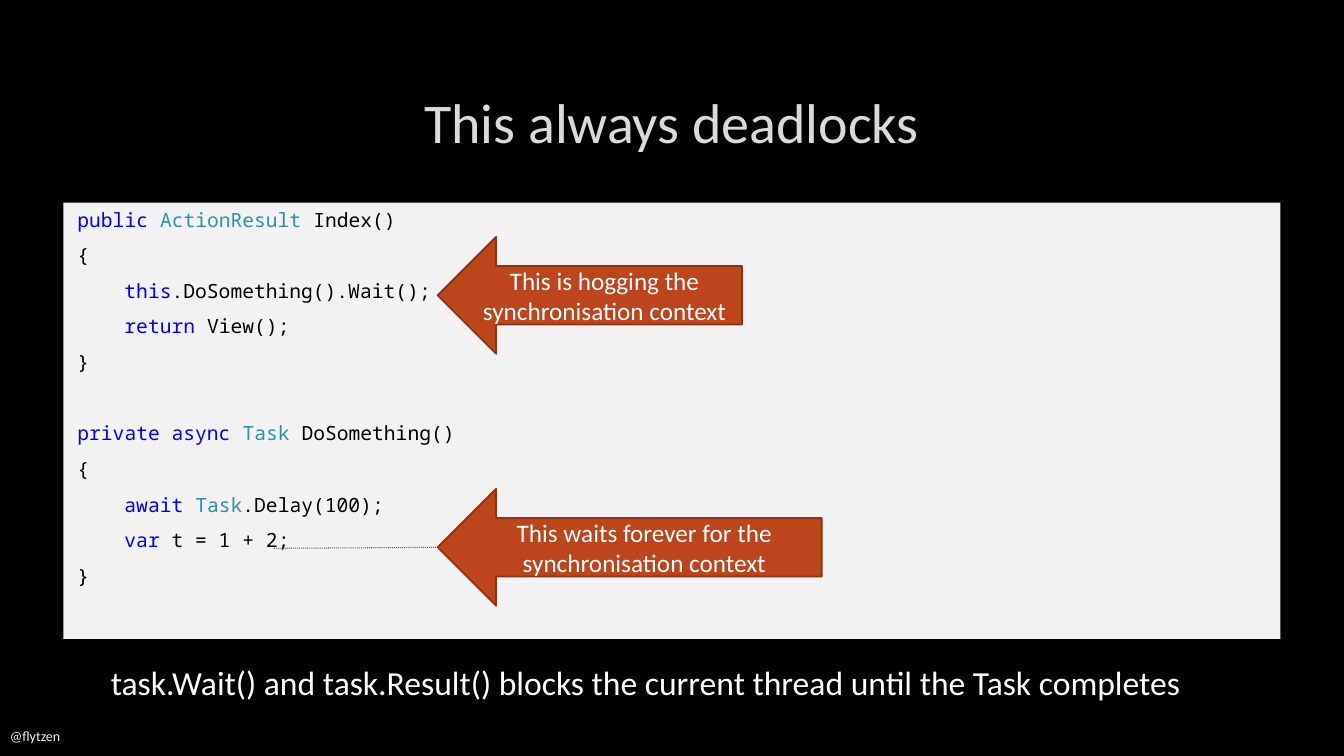
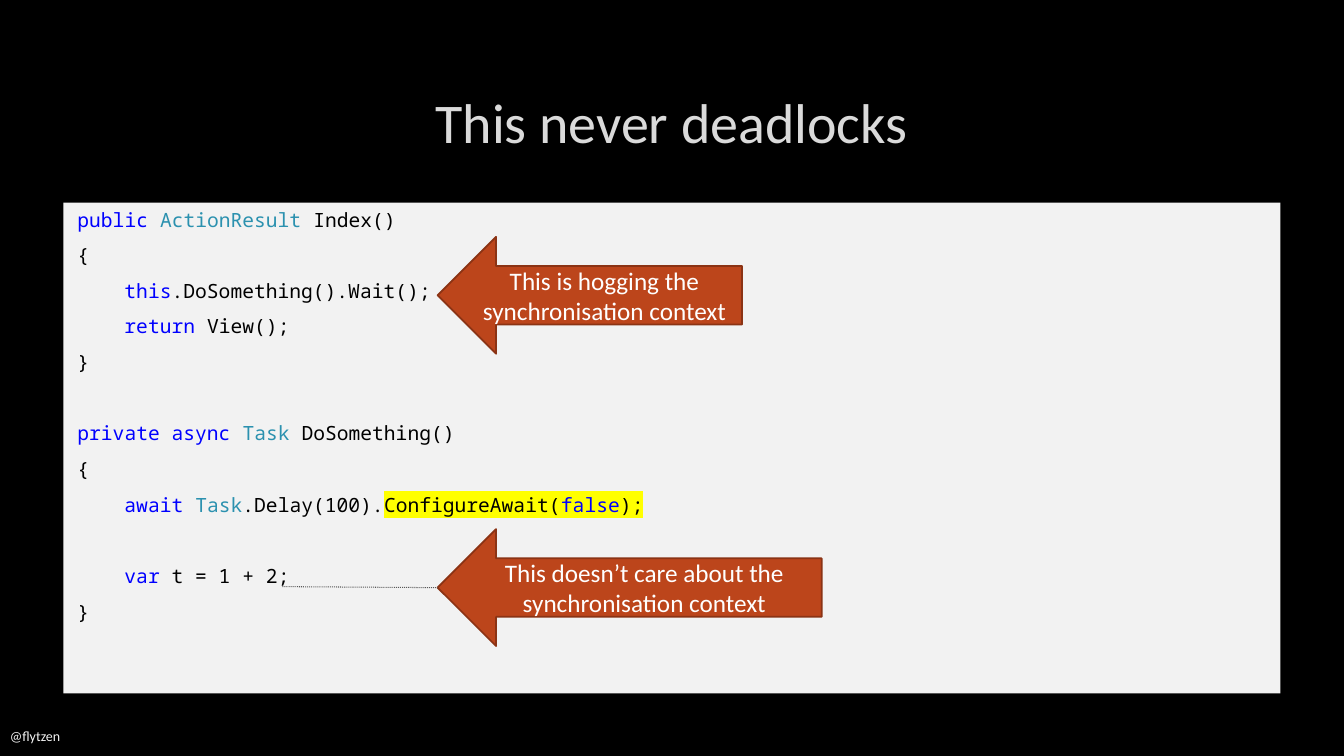
"""Build two slides on async code that does and does not deadlock."""
from dataclasses import dataclass

from lxml.etree import SubElement
from pptx import Presentation
from pptx.dml.color import RGBColor
from pptx.enum.dml import MSO_LINE
from pptx.enum.shapes import MSO_CONNECTOR, MSO_SHAPE
from pptx.enum.text import MSO_ANCHOR, PP_ALIGN
from pptx.oxml.ns import qn
from pptx.util import Inches, Pt


@dataclass(frozen=True)
class Theme:
    back: str = "000000"
    title: str = "DADADA"
    foot: str = "F2F2F2"
    panel: str = "F2F2F2"
    white: str = "FFFFFF"
    plain: str = "000000"
    word: str = "0000FF"
    kind: str = "2B91AF"
    mark: str = "FFFF00"
    arrow: str = "BC451B"
    edge: str = "8B3314"
    link: str = "595959"
    sans: str = "Calibri"
    mono: str = "Noto Sans Mono"
    title_pt: float = 40
    body_pt: float = 24
    arrow_pt: float = 18
    code_pt: float = 14
    foot_pt: float = 10
    after_pt: float = 8.6
    pitch_pt: float = 25.7


WORDS = {"public", "private async", "this", "return", "await", "var", "false"}
KINDS = {"ActionResult", "Task"}
MARKED = {"ConfigureAwait(", "false", ");"}

INDEX = [
    "public |ActionResult| Index()",
    "{",
    "    this|.DoSomething().Wait();",
    "    return| View();",
    "}",
    "",
    "private async |Task| DoSomething()",
    "{",
]
WAITS = INDEX + ["    await |Task|.Delay(100);", "    var| t = 1 + 2;", "}"]
FREE = INDEX + [
    "    await |Task|.Delay(100).|ConfigureAwait(|false|);",
    "",
    "    var| t = 1 + 2;",
    "}",
]


class Deck:
    """Hold the theme and the current slide."""

    def __init__(self, theme):
        self.theme = theme
        self.prs = Presentation()
        self.prs.slide_width = Inches(13.33)
        self.prs.slide_height = Inches(7.5)
        self.slide = None

    def start(self, title):
        t = self.theme
        self.slide = self.prs.slides.add_slide(self.prs.slide_layouts[6])
        self.paint(self.slide.background.fill, t.back)
        self.text(title, (1, 0.67, 11.32, 1.06), t.title_pt, t.title,
                  PP_ALIGN.CENTER, MSO_ANCHOR.MIDDLE)
        self.text("@flytzen", (0, 7.1, 7.3, 0.4), t.foot_pt, t.foot,
                  anchor=MSO_ANCHOR.MIDDLE)

    def paint(self, fill, color):
        fill.solid()
        fill.fore_color.rgb = RGBColor.from_string(color)

    def style(self, para, face, size, color, align=PP_ALIGN.LEFT):
        para.alignment = align
        para.font.name = face
        para.font.size = Pt(size)
        para.font.color.rgb = RGBColor.from_string(color)

    def text(self, words, box, size, color, align=PP_ALIGN.LEFT,
             anchor=MSO_ANCHOR.TOP):
        frame = self.slide.shapes.add_textbox(*map(Inches, box)).text_frame
        frame.word_wrap = True
        frame.vertical_anchor = anchor
        frame.text = words
        self.style(frame.paragraphs[0], self.theme.sans, size, color, align)

    def shape(self, kind, box, color):
        shape = self.slide.shapes.add_shape(kind, *map(Inches, box))
        shape.shadow.inherit = False
        self.paint(shape.fill, color)
        return shape

    def code(self, lines, height):
        t = self.theme
        panel = self.shape(MSO_SHAPE.RECTANGLE, (0.63, 2.01, 12.07, height),
                           t.panel)
        panel.line.fill.background()
        frame = panel.text_frame
        frame.vertical_anchor = MSO_ANCHOR.TOP
        para = None
        for line in lines:
            if not line:
                para.space_after = Pt(t.after_pt + t.pitch_pt)
                continue
            para = frame.add_paragraph() if para else frame.paragraphs[0]
            self.style(para, t.mono, t.code_pt, t.plain)
            para.space_before = Pt(0)
            para.space_after = Pt(t.after_pt)
            body = line.lstrip()
            left = Inches(0.04) + Pt(0.6 * t.code_pt * (len(line) - len(body)))
            props = para._p.get_or_add_pPr()
            props.set("marL", str(left))
            props.set("indent", "0")
            for piece in body.split("|"):
                self.piece(para, piece)

    def piece(self, para, piece):
        t = self.theme
        run = para.add_run()
        run.text = piece
        name = piece.strip()
        color = t.word if name in WORDS else t.kind if name in KINDS else t.plain
        run.font.color.rgb = RGBColor.from_string(color)
        if name in MARKED:
            mark = SubElement(run.font._element, qn("a:highlight"))
            SubElement(mark, qn("a:srgbClr")).set("val", t.mark)

    def arrow(self, words, top, width):
        t = self.theme
        arrow = self.shape(MSO_SHAPE.LEFT_ARROW, (4.34, top, width, 1.16),
                           t.arrow)
        arrow.line.color.rgb = RGBColor.from_string(t.edge)
        arrow.line.width = Pt(1.25)
        frame = arrow.text_frame
        frame.word_wrap = True
        frame.vertical_anchor = MSO_ANCHOR.MIDDLE
        frame.text = words
        self.style(frame.paragraphs[0], t.sans, t.arrow_pt, t.white,
                   PP_ALIGN.CENTER)

    def link(self, *ends):
        line = self.slide.shapes.add_connector(MSO_CONNECTOR.STRAIGHT,
                                               *map(Inches, ends))
        line.line.color.rgb = RGBColor.from_string(self.theme.link)
        line.line.width = Pt(0.75)
        line.line.dash_style = MSO_LINE.ROUND_DOT
        SubElement(line._element.spPr, qn("a:effectLst"))

    def save(self):
        self.prs.save("out.pptx")


def main():
    theme = Theme()
    deck = Deck(theme)
    hog = "This is hogging the synchronisation context"

    deck.start("This always deadlocks")
    deck.code(WAITS, 4.33)
    deck.arrow(hog, 2.35, 3.02)
    deck.arrow("This waits forever for the synchronisation context", 4.85, 3.81)
    deck.link(2.72, 5.44, 4.34, 5.43)
    deck.text("task.Wait() and task.Result() blocks the current thread "
              "until the Task completes",
              (1, 6.52, 11.32, 0.5), theme.body_pt, theme.white)

    deck.start("This never deadlocks")
    deck.code(FREE, 4.87)
    deck.arrow(hog, 2.35, 3.02)
    deck.arrow("This doesn’t care about the synchronisation context", 5.25, 3.81)
    deck.link(2.8, 5.82, 4.34, 5.83)

    deck.save()


if __name__ == "__main__":
    main()
